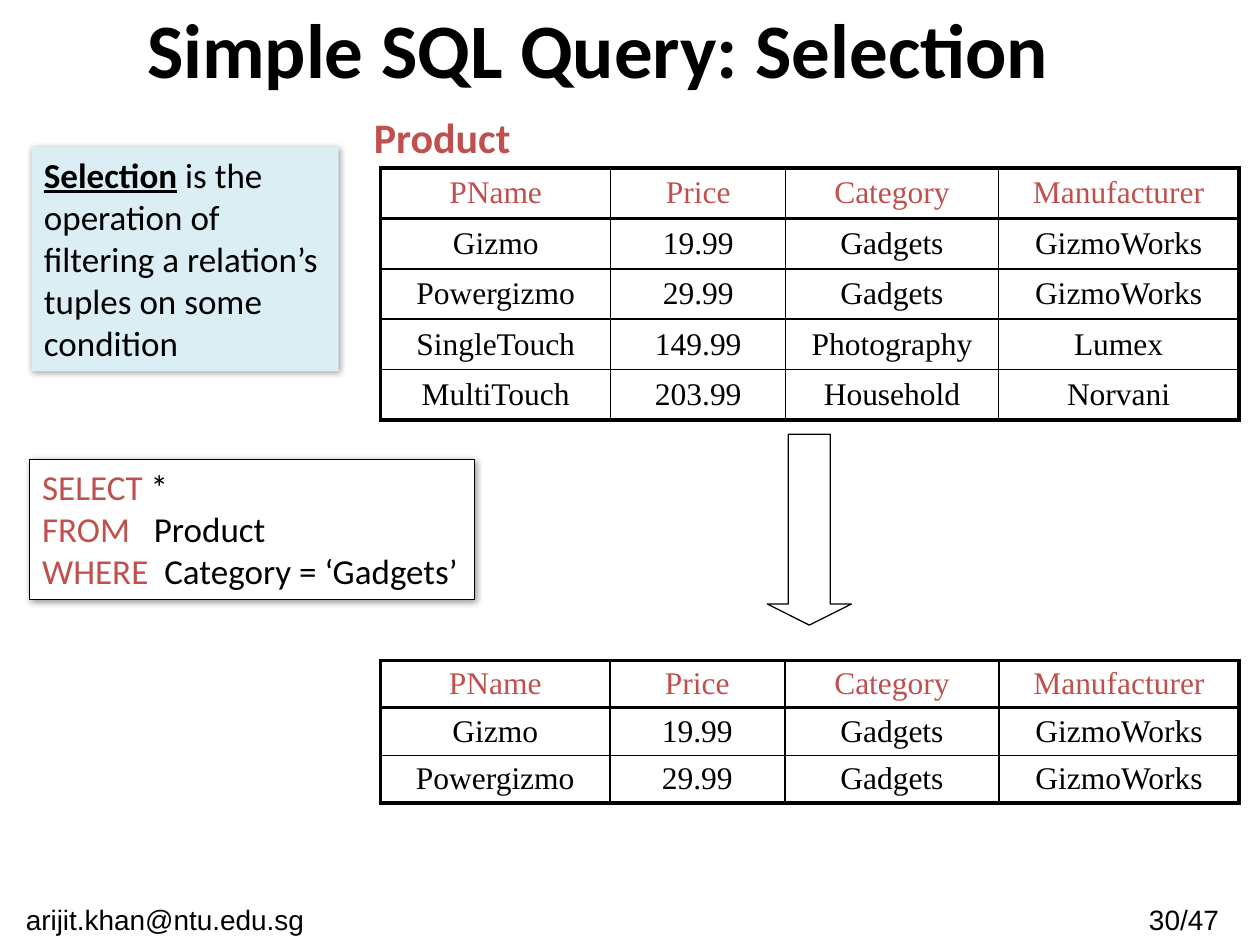
from lxml import etree
from pptx import Presentation
from pptx.dml.color import RGBColor
from pptx.enum.shapes import MSO_SHAPE
from pptx.enum.text import MSO_ANCHOR, MSO_AUTO_SIZE, PP_ALIGN
from pptx.oxml import parse_xml
from pptx.oxml.ns import nsdecls, qn
from pptx.util import Pt

CENTER, LEFT = PP_ALIGN.CENTER, PP_ALIGN.LEFT
TOP, MIDDLE = MSO_ANCHOR.TOP, MSO_ANCHOR.MIDDLE
GROW, FIXED = MSO_AUTO_SIZE.SHAPE_TO_FIT_TEXT, MSO_AUTO_SIZE.NONE
RECTANGLE, DOWN_ARROW = MSO_SHAPE.RECTANGLE, MSO_SHAPE.DOWN_ARROW
TITLE_ONLY = 5
BLACK, RED, WHITE, PALE_BLUE = "000000", "C0504D", "FFFFFF", "DBEEF4"
THICK, THIN = 2.25, 1


def color(value):
    return RGBColor.from_string(value)


class SlideBuilder:
    heading = {"name": "Calibri", "size": Pt(44), "bold": True}
    footer = {"name": "Arial", "size": Pt(16)}
    body = {"name": "Calibri", "size": Pt(20)}
    label = {"name": "Calibri", "size": Pt(24), "bold": True}
    entry = {"name": "Times New Roman", "size": Pt(18)}

    def __init__(self, slide):
        self.slide = slide

    def place(self, shape, box):
        for name, value in zip(("left", "top", "width", "height"), box):
            setattr(shape, name, Pt(value))

    def add_runs(self, frame, runs, style, align=LEFT):
        paragraph = frame.paragraphs[0]
        paragraph.alignment = align
        for text, hue, extra in runs:
            if text == "\n":
                paragraph.add_line_break()
                continue
            run = paragraph.add_run()
            run.text = text
            for name, value in {**style, **extra}.items():
                setattr(run.font, name, value)
            run.font.color.rgb = color(hue)

    def set_frame(self, frame, **layout):
        for name, value in layout.items():
            setattr(frame, name, value)

    def title(self, text, box):
        title = self.slide.shapes.title
        self.place(title, box)
        self.set_frame(title.text_frame, vertical_anchor=MIDDLE, word_wrap=True, auto_size=FIXED)
        self.add_runs(title.text_frame, [(text, BLACK, {})], self.heading, CENTER)

    def text(self, text, box, style, hue=BLACK, align=LEFT, wrap=True):
        frame = self.slide.shapes.add_textbox(*map(Pt, box)).text_frame
        self.set_frame(frame, word_wrap=wrap, auto_size=FIXED if wrap else GROW)
        self.add_runs(frame, [(text, hue, {})], style, align)

    def shape(self, kind, box, fill=None, line=None):
        shape = self.slide.shapes.add_shape(kind, *map(Pt, box))
        shape.shadow.inherit = False
        if fill:
            shape.fill.solid()
            shape.fill.fore_color.rgb = color(fill)
        else:
            shape.fill.background()
        if line:
            shape.line.color.rgb = color(line)
            shape.line.width = Pt(0.75)
        else:
            shape.line.fill.background()
        return shape

    def arrow(self, box):
        arrow = self.shape(DOWN_ARROW, box, line=BLACK)
        arrow.adjustments[0] = 0.5
        arrow.adjustments[1] = 0.25

    def card(self, runs, box, fill, line=None, wrap=True):
        card = self.shape(RECTANGLE, box, fill, line)
        effects = card._element.spPr.find(qn("a:effectLst"))
        effects.append(parse_xml(
            f'<a:outerShdw {nsdecls("a")} blurRad="{Pt(4)}" dist="{Pt(1)}" '
            f'dir="{45 * 60000}" algn="tl" rotWithShape="0">'
            f'<a:srgbClr val="{BLACK}"><a:alpha val="40000"/></a:srgbClr></a:outerShdw>'))
        self.set_frame(card.text_frame, vertical_anchor=TOP, word_wrap=wrap, auto_size=GROW)
        self.add_runs(card.text_frame, runs, self.body)

    def borders(self, cell, widths):
        properties = cell._tc.get_or_add_tcPr()
        for position, (side, width) in enumerate(widths.items()):
            line = etree.Element(qn(f"a:ln{side}"), w=str(Pt(width)))
            fill = etree.SubElement(line, qn("a:solidFill"))
            etree.SubElement(fill, qn("a:srgbClr"), val=BLACK)
            properties.insert(position, line)

    def table(self, rows, left, top, column_widths, row_height):
        last_row, last_column = len(rows) - 1, len(column_widths) - 1
        table = self.slide.shapes.add_table(
            len(rows), len(column_widths), Pt(left), Pt(top),
            Pt(sum(column_widths)), Pt(row_height * len(rows))).table
        table.first_row = table.horz_banding = False
        for column, width in zip(table.columns, column_widths):
            column.width = Pt(width)
        for r, row in enumerate(rows):
            table.rows[r].height = Pt(row_height)
            for c, text in enumerate(row):
                cell = table.cell(r, c)
                cell.vertical_anchor = MIDDLE
                cell.fill.background()
                hue = RED if r == 0 else BLACK
                self.add_runs(cell.text_frame, [(text, hue, {})], self.entry, CENTER)
                self.borders(cell, {
                    "L": THICK if c == 0 else THIN,
                    "R": THICK if c == last_column else THIN,
                    "T": THICK if r <= 1 else THIN,
                    "B": THICK if r in (0, last_row) else THIN,
                })


def main():
    presentation = Presentation()
    presentation.slide_width, presentation.slide_height = Pt(720), Pt(540)
    slide = presentation.slides.add_slide(presentation.slide_layouts[TITLE_ONLY])
    builder = SlideBuilder(slide)

    products = [
        ("PName", "Price", "Category", "Manufacturer"),
        ("Gizmo", "19.99", "Gadgets", "GizmoWorks"),
        ("Powergizmo", "29.99", "Gadgets", "GizmoWorks"),
        ("SingleTouch", "149.99", "Photography", "Lumex"),
        ("MultiTouch", "203.99", "Household", "Norvani"),
    ]
    gadgets = products[:1] + [row for row in products if row[2] == "Gadgets"]
    query = [
        ("SELECT", RED, {}), (" *", BLACK, {}), ("\n", BLACK, {}),
        ("FROM", RED, {}), ("   Product", BLACK, {}), ("\n", BLACK, {}),
        ("WHERE", RED, {}), ("  Category = ‘Gadgets’", BLACK, {}),
    ]
    definition = [
        ("Selection", BLACK, {"bold": True, "underline": True}),
        (" is the operation of filtering a relation’s tuples on some condition", BLACK, {}),
    ]

    builder.title("Simple SQL Query: Selection", (18, 0, 648, 54))
    builder.text("30/47 ", (637, 512, 83.5, 28), builder.footer, align=CENTER)
    builder.text("arijit.khan@ntu.edu.sg ", (0, 512, 193, 28), builder.footer, align=CENTER)
    builder.table(products, 217.5, 96, (131.5, 100, 121.5, 137.5), 28.8)
    builder.arrow((438.5, 248.2, 48, 109))
    builder.table(gadgets, 217.5, 377.3, (131, 100, 122.5, 137), 27)
    builder.card(query, (17, 262.7, 254, 80), WHITE, BLACK, wrap=False)
    builder.card(definition, (18, 84, 175.5, 128.2), PALE_BLUE)
    builder.text("Product", (206.6, 60, 93.6, 36), builder.label, RED, wrap=False)

    presentation.save("out.pptx")


if __name__ == "__main__":
    main()
